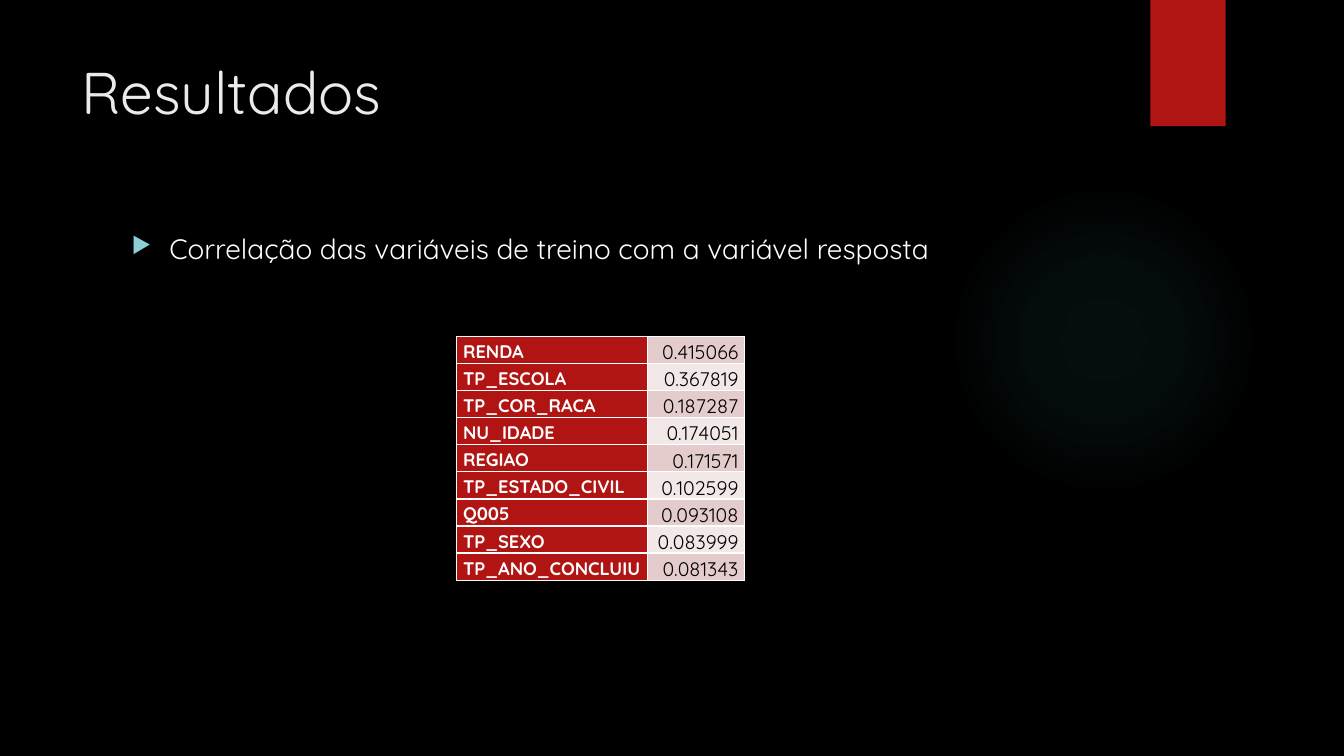
from dataclasses import dataclass

from lxml.etree import SubElement
from pptx import Presentation
from pptx.dml.color import RGBColor
from pptx.enum.shapes import MSO_SHAPE
from pptx.enum.text import MSO_ANCHOR, PP_ALIGN
from pptx.oxml import parse_xml
from pptx.oxml.ns import nsdecls, qn
from pptx.util import Cm, Pt


@dataclass(frozen=True)
class Theme:
    font: str = "Quicksand"
    background: str = "000000"
    title: str = "EBEBEB"
    light: str = "FFFFFF"
    dark: str = "000000"
    accent: str = "B01513"
    bullet: str = "8AD0D6"
    glow: str = "50B9C1"
    bands: tuple = ("E4CCCC", "F2E8E7")
    title_size: int = 42
    body_size: int = 20
    name_size: int = 13
    value_size: int = 14


THEME = Theme()

CORRELATIONS = [
    ("RENDA", "0.415066"),
    ("TP_ESCOLA", "0.367819"),
    ("TP_COR_RACA", "0.187287"),
    ("NU_IDADE", "0.174051"),
    ("REGIAO", "0.171571"),
    ("TP_ESTADO_CIVIL", "0.102599"),
    ("Q005", "0.093108"),
    ("TP_SEXO", "0.083999"),
    ("TP_ANO_CONCLUIU", "0.081343"),
]


def rgb(color):
    return RGBColor.from_string(color)


def style_paragraph(paragraph, size, color, bold=False):
    font = paragraph.font
    font.name = THEME.font
    font.size = Pt(size)
    font.bold = bold
    font.color.rgb = rgb(color)


def add_plain_shape(slide, preset, left, top, width, height):
    shape = slide.shapes.add_shape(preset, left, top, width, height)
    shape.shadow.inherit = False
    shape.line.fill.background()
    return shape


def add_glow(slide):
    glow = add_plain_shape(slide, MSO_SHAPE.OVAL, Cm(23.9), Cm(4.65), Cm(7.82), Cm(7.82))
    glow.fill.background()
    # Radial gradient that fades to transparent: (position %, opacity %)
    stops = "".join(
        f'<a:gs pos="{position * 1000}"><a:srgbClr val="{THEME.glow}">'
        f'<a:alpha val="{opacity * 1000}"/></a:srgbClr></a:gs>'
        for position, opacity in ((0, 7), (36, 6), (69, 0))
    )
    gradient = parse_xml(
        f'<a:gradFill {nsdecls("a")}><a:gsLst>{stops}</a:gsLst><a:path path="circle">'
        '<a:fillToRect l="50000" t="50000" r="50000" b="50000"/></a:path></a:gradFill>'
    )
    properties = glow._element.spPr
    properties.replace(properties.find(qn("a:noFill")), gradient)


def add_ribbon(slide):
    ribbon = add_plain_shape(slide, MSO_SHAPE.RECTANGLE, Cm(28.99), Cm(0), Cm(1.9), Cm(3.18))
    ribbon.fill.solid()
    ribbon.fill.fore_color.rgb = rgb(THEME.accent)


def set_title(slide, text):
    title = slide.shapes.title
    title.left, title.top, title.width, title.height = Cm(1.8), Cm(1.27), Cm(26.14), Cm(3.89)
    title.text_frame.text = text
    title.text_frame.vertical_anchor = MSO_ANCHOR.TOP
    heading = title.text_frame.paragraphs[0]
    heading.alignment = PP_ALIGN.LEFT
    style_paragraph(heading, THEME.title_size, THEME.title)


def add_bullet_text(slide, text):
    body = slide.shapes.add_textbox(Cm(3.07), Cm(5.72), Cm(24.84), Cm(11.66))
    body.text_frame.word_wrap = True
    statement = body.text_frame.paragraphs[0]
    statement.text = text
    statement.space_before = Pt(10)
    style_paragraph(statement, THEME.body_size, THEME.light)
    # Hanging triangle bullet
    properties = statement._p.get_or_add_pPr()
    indent = Cm(0.95)
    properties.set("marL", str(indent))
    properties.set("indent", str(-indent))
    bullet = (
        f'<a:buClr {nsdecls("a")}><a:srgbClr val="{THEME.bullet}"/></a:buClr>',
        f'<a:buSzPct {nsdecls("a")} val="80000"/>',
        f'<a:buChar {nsdecls("a")} char="▶"/>',
    )
    text_defaults = properties.find(qn("a:defRPr"))
    for part in bullet:
        text_defaults.addprevious(parse_xml(part))


def add_borders(cell):
    properties = cell._tc.get_or_add_tcPr()
    for side in ("a:lnL", "a:lnR", "a:lnT", "a:lnB"):
        border = SubElement(properties, qn(side), w=str(Pt(1)))
        fill = SubElement(border, qn("a:solidFill"))
        SubElement(fill, qn("a:srgbClr"), val=THEME.light)


def fill_cell(cell, text, fill, size, color, bold, alignment, anchor):
    cell.text = text
    cell.margin_left = cell.margin_right = Cm(0.16)
    cell.margin_top = cell.margin_bottom = 0
    cell.vertical_anchor = anchor
    add_borders(cell)
    cell.fill.solid()
    cell.fill.fore_color.rgb = rgb(fill)
    paragraph = cell.text_frame.paragraphs[0]
    paragraph.alignment = alignment
    paragraph.line_spacing = 1.15
    style_paragraph(paragraph, size, color, bold)


def add_correlation_table(slide, correlations):
    name_width, value_width = Cm(4.8), Cm(2.46)
    table = slide.shapes.add_table(
        len(correlations), 2, Cm(11.51), Cm(8.48), name_width + value_width, Cm(6.07)
    ).table
    table.columns[0].width = name_width
    table.columns[1].width = value_width
    table.first_row = False
    table.first_col = True
    for row, (variable, correlation) in enumerate(correlations):
        fill_cell(table.cell(row, 0), variable, THEME.accent, THEME.name_size,
                  THEME.light, True, PP_ALIGN.LEFT, MSO_ANCHOR.MIDDLE)
        fill_cell(table.cell(row, 1), correlation, THEME.bands[row % 2], THEME.value_size,
                  THEME.dark, False, PP_ALIGN.RIGHT, MSO_ANCHOR.BOTTOM)


def main():
    deck = Presentation()
    deck.slide_width, deck.slide_height = Cm(33.87), Cm(19.05)
    slide = deck.slides.add_slide(deck.slide_layouts[5])
    slide.background.fill.solid()
    slide.background.fill.fore_color.rgb = rgb(THEME.background)

    # Decoration
    add_glow(slide)
    add_ribbon(slide)

    # Content
    set_title(slide, "Resultados")
    add_bullet_text(slide, "Correlação das variáveis de treino com a variável resposta")
    add_correlation_table(slide, CORRELATIONS)

    deck.save("out.pptx")


if __name__ == "__main__":
    main()
